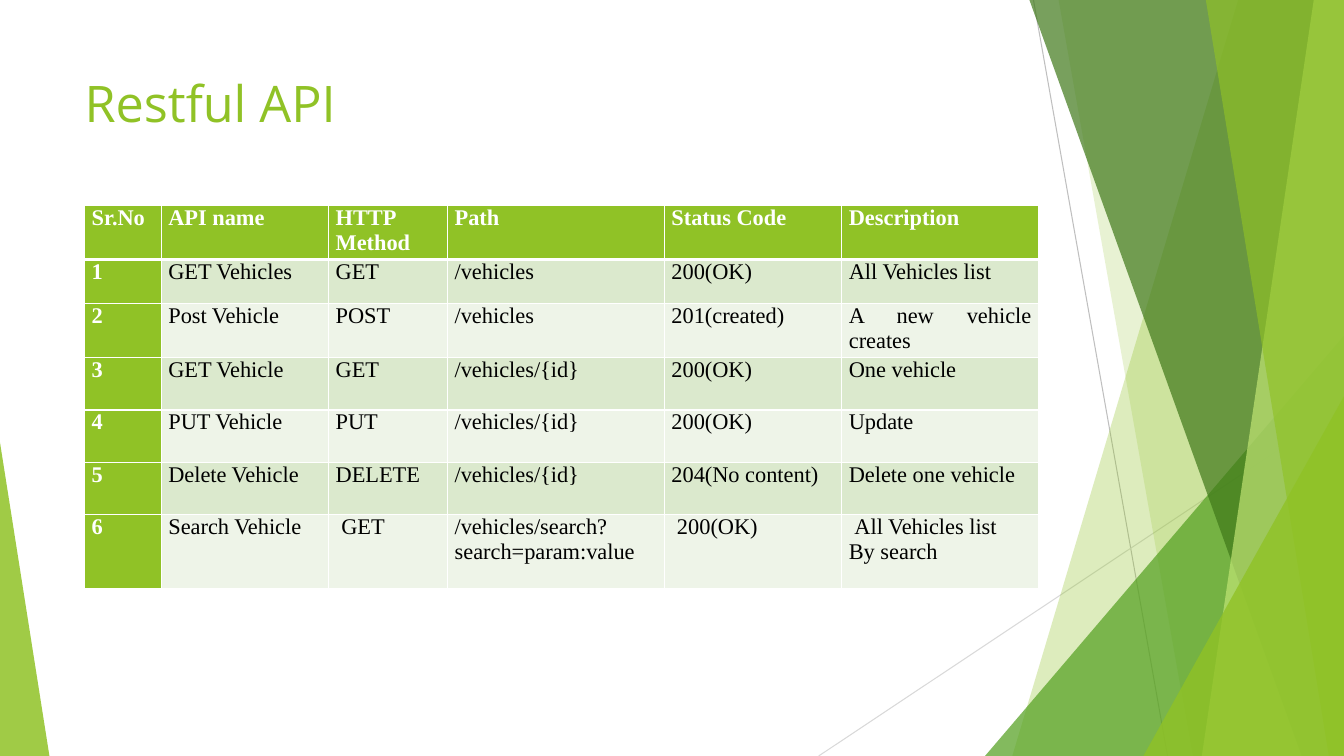
from pptx import Presentation
from pptx.dml.color import RGBColor
from pptx.enum.shapes import MSO_CONNECTOR, MSO_SHAPE
from pptx.enum.text import PP_ALIGN
from pptx.oxml.ns import qn
from pptx.util import Inches, Pt
from lxml.etree import SubElement as Sub

LIME = RGBColor(0x90, 0xC2, 0x26)
GREEN = RGBColor(0x54, 0xA0, 0x21)
FOREST = RGBColor(0x3F, 0x78, 0x19)
PALE = RGBColor(0xC0, 0xE4, 0x74)
BAND_DARK = RGBColor(0xDB, 0xE9, 0xCD)
BAND_LIGHT = RGBColor(0xEE, 0xF4, 0xE8)
GREY = RGBColor(0xBF, 0xBF, 0xBF)
LIGHT_GREY = RGBColor(0xD9, 0xD9, 0xD9)
WHITE = RGBColor(0xFF, 0xFF, 0xFF)
BLACK = RGBColor(0, 0, 0)

W, H = 13.33, 7.5
TITLE = "Restful API"
ROWS = [
    ("Sr.No", "API name", "HTTP Method", "Path", "Status Code", "Description"),
    ("1", "GET Vehicles", "GET", "/vehicles", "200(OK)", "All Vehicles list"),
    ("2", "Post Vehicle", "POST", "/vehicles", "201(created)", "A new vehicle creates"),
    ("3", "GET Vehicle", "GET", "/vehicles/{id}", "200(OK)", "One vehicle"),
    ("4", "PUT Vehicle", "PUT", "/vehicles/{id}", "200(OK)", "Update"),
    ("5", "Delete Vehicle", "DELETE", "/vehicles/{id}", "204(No content)", "Delete one vehicle"),
    ("6", "Search Vehicle", "\u00a0GET", "/vehicles/search?search=param:value",
     "\u00a0200(OK)", "\u00a0All Vehicles list\nBy search"),
]
COL_WIDTHS = [0.76, 1.66, 1.18, 2.15, 1.76, 1.95]
ROW_HEIGHTS = [0.52, 0.44, 0.49, 0.52, 0.52, 0.52, 0.73]

RAYS = [((10.25, 0), (11.58, H), GREY), ((W, 4.03), (8.12, H), LIGHT_GREY)]
FACETS = [
    ("band", 12.28, 10.04, LIME, 30),
    ("band", 10.5, 11.83, LIME, 20),
    ("corner", 9.77, 3.33, 3.56, 1, GREEN, 72),
    ("band", 10.21, 12.91, FOREST, 70),
    ("band", 13.03, 11.92, PALE, 70),
    ("band", 11.96, 13.18, LIME, 65),
    ("corner", 11.34, 3.93, 1.99, 1, LIME, 80),
    ("corner", 0, 4.39, 0.49, 0, LIME, 85),
]


def paint(sp, color, opacity):
    sp.shadow.inherit = False
    sp.line.fill.background()
    sp.fill.solid()
    sp.fill.fore_color.rgb = color
    clr = sp.fill._xPr.find(qn("a:solidFill"))[0]
    Sub(clr, qn("a:alpha"), val=str(opacity * 1000))


def band(top_x, bottom_x, color, opacity):
    fb = shapes.build_freeform(Inches(top_x), 0)
    corners = [(W, 0), (W, H), (bottom_x, H)]
    fb.add_line_segments([(Inches(x), Inches(y)) for x, y in corners])
    paint(fb.convert_to_shape(), color, opacity)


def corner(left, top, width, apex, color, opacity):
    sp = shapes.add_shape(MSO_SHAPE.ISOSCELES_TRIANGLE, Inches(left), Inches(top),
                          Inches(width), Inches(H - top))
    sp.adjustments[0] = apex
    paint(sp, color, opacity)


def borders(cell, **widths):
    tcPr = cell._tc.get_or_add_tcPr()
    for side in "LRTB":
        ln = Sub(tcPr, qn("a:ln" + side), w=str(Pt(widths.get(side, 1))))
        Sub(Sub(ln, qn("a:solidFill")), qn("a:srgbClr"), val=str(WHITE))


prs = Presentation()
prs.slide_width, prs.slide_height = Inches(W), Inches(H)
s = prs.slides.add_slide(prs.slide_layouts[6])
shapes = s.shapes

for start, end, color in RAYS:
    ray = shapes.add_connector(MSO_CONNECTOR.STRAIGHT, *map(Inches, start + end))
    ray.line.color.rgb = color
    ray.line.width = Pt(0.75)
    Sub(ray._element.spPr, qn("a:effectLst"))

draw = {"band": band, "corner": corner}
for kind, *args in FACETS:
    draw[kind](*args)

tf = shapes.add_textbox(Inches(0.74), Inches(0.67), Inches(9.4), Inches(1.15)).text_frame
tf.word_wrap = True
tf.text = TITLE
font = tf.paragraphs[0].runs[0].font
font.name, font.size, font.color.rgb = "Open Sans", Pt(36), LIME

table = shapes.add_table(len(ROWS), len(COL_WIDTHS), Inches(0.84), Inches(2.04),
                         Inches(sum(COL_WIDTHS)), Inches(sum(ROW_HEIGHTS))).table
for col, width in zip(table.columns, COL_WIDTHS):
    col.width = Inches(width)
for row, height in zip(table.rows, ROW_HEIGHTS):
    row.height = Inches(height)

for i, texts in enumerate(ROWS):
    for j, text in enumerate(texts):
        cell = table.cell(i, j)
        heading = i == 0 or j == 0
        borders(cell, T=3 if i == 1 else 1, B=3 if i == 0 else 1)
        cell.fill.solid()
        cell.fill.fore_color.rgb = LIME if heading else BAND_DARK if i % 2 else BAND_LIGHT
        cell.margin_left = cell.margin_right = Inches(0.07)
        cell.margin_top = cell.margin_bottom = 0
        cell.text_frame.text = text
        for p in cell.text_frame.paragraphs:
            p.alignment = PP_ALIGN.JUSTIFY
            font = p.runs[0].font
            font.name, font.size, font.bold = "Times New Roman", Pt(16), heading
            font.color.rgb = WHITE if heading else BLACK

prs.save("out.pptx")
